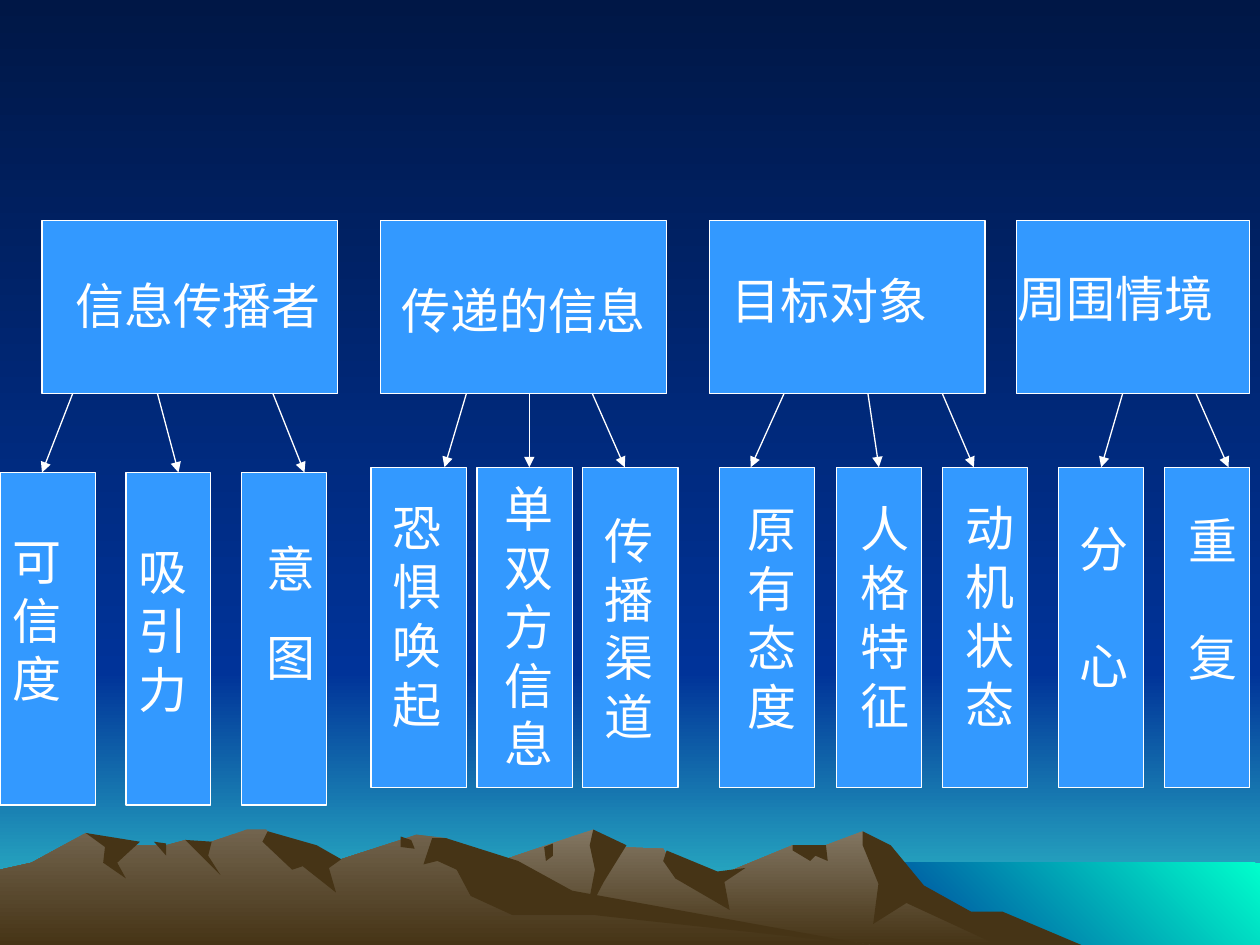
from dataclasses import dataclass

import pptx
import pptx.dml.color
import pptx.enum.shapes
import pptx.enum.text
import pptx.oxml
import pptx.oxml.ns
import pptx.util
from lxml import etree

Pt = pptx.util.Pt
COLORS = {
    "night": "001746", "blue": "003399", "horizon": "33CCCC", "sea": "00FFCC",
    "rock": "837763", "slope": "72644E", "shade": "463416",
    "box": "3399FF", "white": "FFFFFF",
}
FONT = {"name": "Arial", "size": Pt(28)}
FRAME = {
    "word_wrap": True,
    "auto_size": pptx.enum.text.MSO_AUTO_SIZE.SHAPE_TO_FIT_TEXT,
    "vertical_anchor": pptx.enum.text.MSO_ANCHOR.TOP,
    "margin_left": Pt(7.2), "margin_right": Pt(7.2),
    "margin_top": Pt(3.6), "margin_bottom": Pt(3.6),
}
WIDTH, HEIGHT = 720, 540
LAND_TOP, SEA_LEFT, SEA_TOP = 384, 492, 493
DOWN, DOWN_LEFT = 270, 225
HEAD_TOP, HEAD_H = 126, 99
HEAD_END = HEAD_TOP + HEAD_H
LINE_H, PAD = 33.7, 7.2
PARAGRAPH_GAP = 17.5
TEXT_W = 36


@dataclass
class Gradient:
    start: str
    end: str
    angle: int = DOWN


@dataclass
class Land:
    points: list
    fill: object = "shade"


@dataclass
class Heading:
    words: str
    left: float
    width: float
    text_left: float
    text_top: float
    text_width: float
    indent: float = 0


@dataclass
class Factor:
    words: str
    left: float
    text_left: float
    text_top: float
    start: float
    end: float
    joined: bool = False


@dataclass
class Group:
    top: float
    height: float
    wide: int
    factors: list


LANDS = [
    Land([(591, 540), (550, 520), (520, 502), (493, 475), (472, 483), (453, 483), (407, 502),
          (386, 497), (379, 485), (350, 484), (339, 474), (283, 493), (235, 510), (186, 540)],
         Gradient("rock", "shade")),
    Land([(618, 540), (573, 521), (555, 521), (528, 506), (509, 483), (493, 475), (493, 483),
          (502, 505), (499, 528), (518, 516), (570, 540)]),
    Land([(339, 474), (337, 483), (340, 497), (335, 523), (345, 504), (358, 483)]),
    Land([(381, 486), (379, 492), (386, 502), (417, 520), (414, 504), (426, 496), (410, 498)]),
    Land([(472, 483), (453, 483), (453, 486), (463, 492), (466, 489), (473, 492)]),
    Land([(316, 482), (311, 484), (312, 492), (316, 489)]),
    Land([(497, 540), (311, 512), (255, 479), (238, 477), (195, 491), (170, 490), (152, 474),
          (141, 474), (115, 483), (106, 480), (95, 483), (67, 483), (49, 476), (18, 493),
          (0, 497), (0, 540)], Gradient("slope", "shade")),
    Land([(153, 475), (150, 481), (167, 497), (173, 495), (192, 510), (188, 496), (195, 491),
          (181, 483)]),
    Land([(255, 479), (247, 479), (242, 494), (250, 492), (261, 497), (269, 512), (293, 523),
          (340, 523), (497, 540), (327, 509), (296, 492)]),
    Land([(229, 478), (235, 480), (237, 485), (229, 484)]),
    Land([(106, 480), (121, 481), (119, 489), (126, 500)]),
    Land([(88, 481), (95, 482), (95, 489)]),
    Land([(49, 476), (80, 481), (67, 493), (72, 502), (59, 493), (60, 484)]),
]

HEADINGS = [
    Heading("信息传播者", 24, 169, 36, 154, 181.5),
    Heading("传递的信息", 217.5, 163.5, 206.5, 157, 175.5, 15.6),
    Heading("目标对象", 405.5, 157.5, 411, 151, 163.5),
    Heading("周围情境", 581, 133, 574.5, 150, 145.5),
]
GROUPS = [
    Group(270, 190, 1, [
        Factor("可信度", 0, 0, 300, 41.5, 24),
        Factor("吸引力", 72, 72, 306, 90, 102),
        Factor("意\n图", 138, 145, 304, 156, 174),
    ]),
    Group(267, 183, 4, [
        Factor("恐惧唤起", 212, 217.5, 281, 266.5, 254),
        Factor("单双方信息", 272.5, 281, 270, 302.5, 302.5),
        Factor("传播渠道", 333, 338.5, 288, 338.5, 357),
        Factor("原有态度", 411, 420, 282, 448, 429),
        Factor("人格特征", 478, 484.5, 281.5, 496, 502, True),
        Factor("动机状态", 538.5, 544.5, 281, 538.5, 556.5),
        Factor("分 心", 605, 610, 292.5, 641.5, 629.5, True),
        Factor("重 复", 665.5, 672, 288, 683.5, 702),
    ]),
]


def rgb(name: str) -> pptx.dml.color.RGBColor:
    return pptx.dml.color.RGBColor.from_string(COLORS[name])


def paint(fill, look) -> None:
    if isinstance(look, Gradient):
        fill.gradient()
        fill.gradient_angle = look.angle
        for stop, name in zip(fill.gradient_stops, (look.start, look.end)):
            stop.color.rgb = rgb(name)
    else:
        fill.solid()
        fill.fore_color.rgb = rgb(look)


def draw_line(line) -> None:
    line.color.rgb = rgb("white")
    line.width = Pt(0.75)


def draw_rect(s, at: tuple, look, outlined: bool = False):
    sp = s.shapes.add_shape(pptx.enum.shapes.MSO_SHAPE.RECTANGLE, *map(Pt, at))
    sp.shadow.inherit = False
    paint(sp.fill, look)
    if outlined:
        draw_line(sp.line)
    else:
        sp.line.fill.background()
    return sp


def draw_land(s, land: Land) -> None:
    points = [(Pt(x), Pt(y)) for x, y in land.points]
    builder = s.shapes.build_freeform(*points[0], scale=1.0)
    builder.add_line_segments(points[1:], close=True)
    sp = builder.convert_to_shape()
    sp.shadow.inherit = False
    paint(sp.fill, land.fill)
    sp.line.fill.background()


def draw_text(s, words: str, at: tuple, indent: float = 0) -> None:
    tf = s.shapes.add_textbox(*map(Pt, at)).text_frame
    for key, value in {**FRAME, "margin_left": Pt(PAD + indent)}.items():
        setattr(tf, key, value)
    for i, line in enumerate(words.split("\n")):
        p = tf.add_paragraph() if i else tf.paragraphs[0]
        if i:
            p.space_before = Pt(PARAGRAPH_GAP)
        r = p.add_run()
        r.text = line
        for key, value in FONT.items():
            setattr(r.font, key, value)
        r.font.color.rgb = rgb("white")


def draw_arrow(s, ends: tuple, target, joined: bool) -> None:
    c = s.shapes.add_connector(pptx.enum.shapes.MSO_CONNECTOR.STRAIGHT, *map(Pt, ends))
    if joined:
        c.end_connect(target, 0)
    draw_line(c.line)
    qn = pptx.oxml.ns.qn
    props = c._element.spPr
    etree.SubElement(props.find(qn("a:ln")), qn("a:tailEnd"), type="triangle")
    etree.SubElement(props, qn("a:effectLst"))


def draw_heading(s, h: Heading) -> None:
    draw_rect(s, (h.left, HEAD_TOP, h.width, HEAD_H), "box", outlined=True)
    draw_text(s, h.words, (h.text_left, h.text_top, h.text_width, LINE_H + PAD), h.indent)


def draw_group(s, g: Group) -> None:
    for i, f in enumerate(g.factors):
        width = 54.5 if i < g.wide else 48.5
        sp = draw_rect(s, (f.left, g.top, width, g.height), "box", outlined=True)
        text_height = len(f.words) * LINE_H + PAD
        draw_text(s, f.words, (f.text_left, f.text_top, TEXT_W, text_height))
        draw_arrow(s, (f.start, HEAD_END, f.end, g.top), sp, f.joined)


def main() -> None:
    prs = pptx.Presentation()
    prs.slide_width, prs.slide_height = Pt(WIDTH), Pt(HEIGHT)
    s = prs.slides.add_slide(prs.slide_layouts[6])
    sky = Gradient("night", "blue")
    paint(s.background.fill, sky)
    draw_rect(s, (0, LAND_TOP, WIDTH, HEIGHT - LAND_TOP), Gradient("blue", "horizon"))
    draw_rect(s, (0, 0, WIDTH, LAND_TOP), sky)
    draw_rect(s, (SEA_LEFT, SEA_TOP, WIDTH - SEA_LEFT, HEIGHT - SEA_TOP),
              Gradient("sea", "blue", DOWN_LEFT))
    for land in LANDS:
        draw_land(s, land)
    for heading in HEADINGS:
        draw_heading(s, heading)
    for group in GROUPS:
        draw_group(s, group)
    prs.save("out.pptx")


if __name__ == "__main__":
    main()
